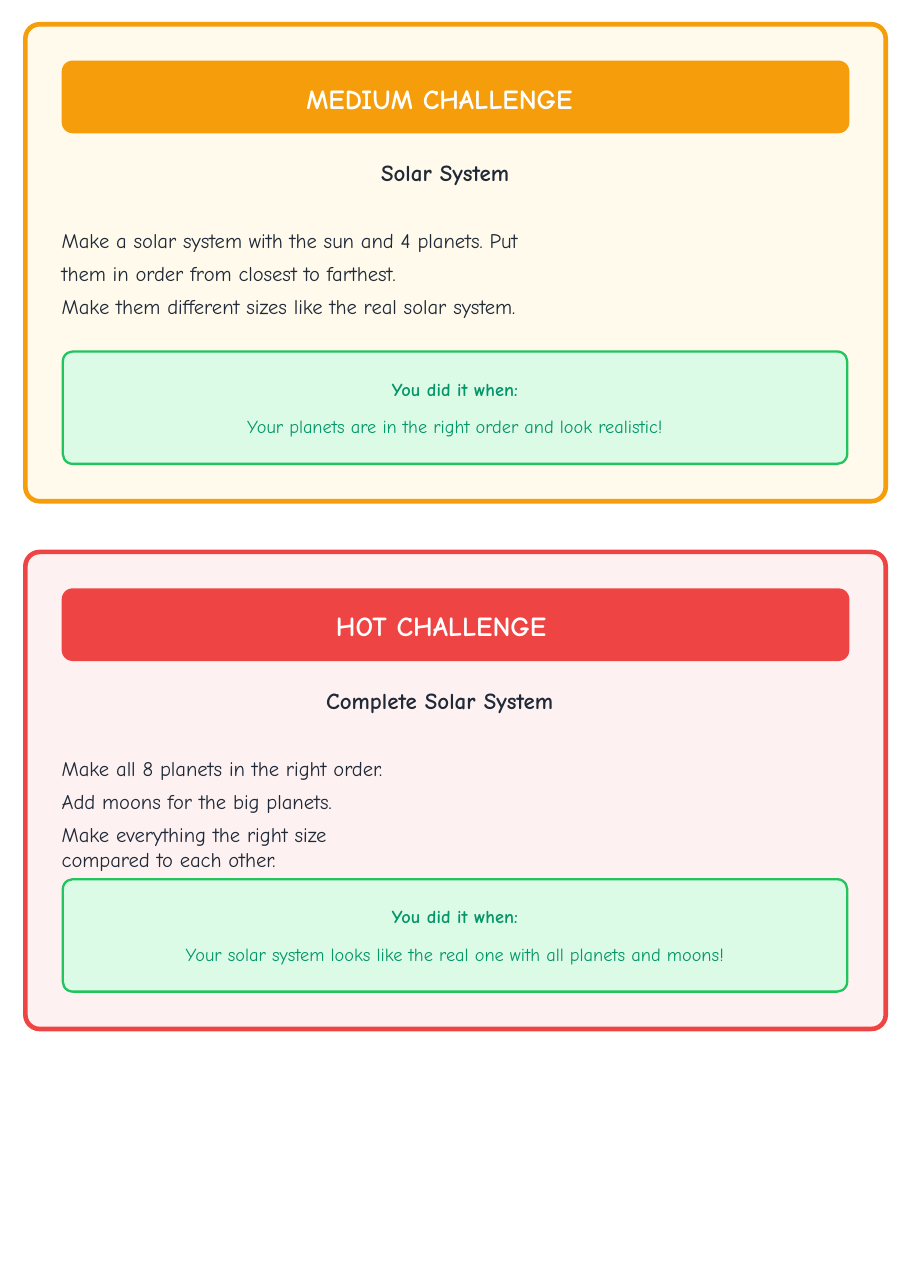
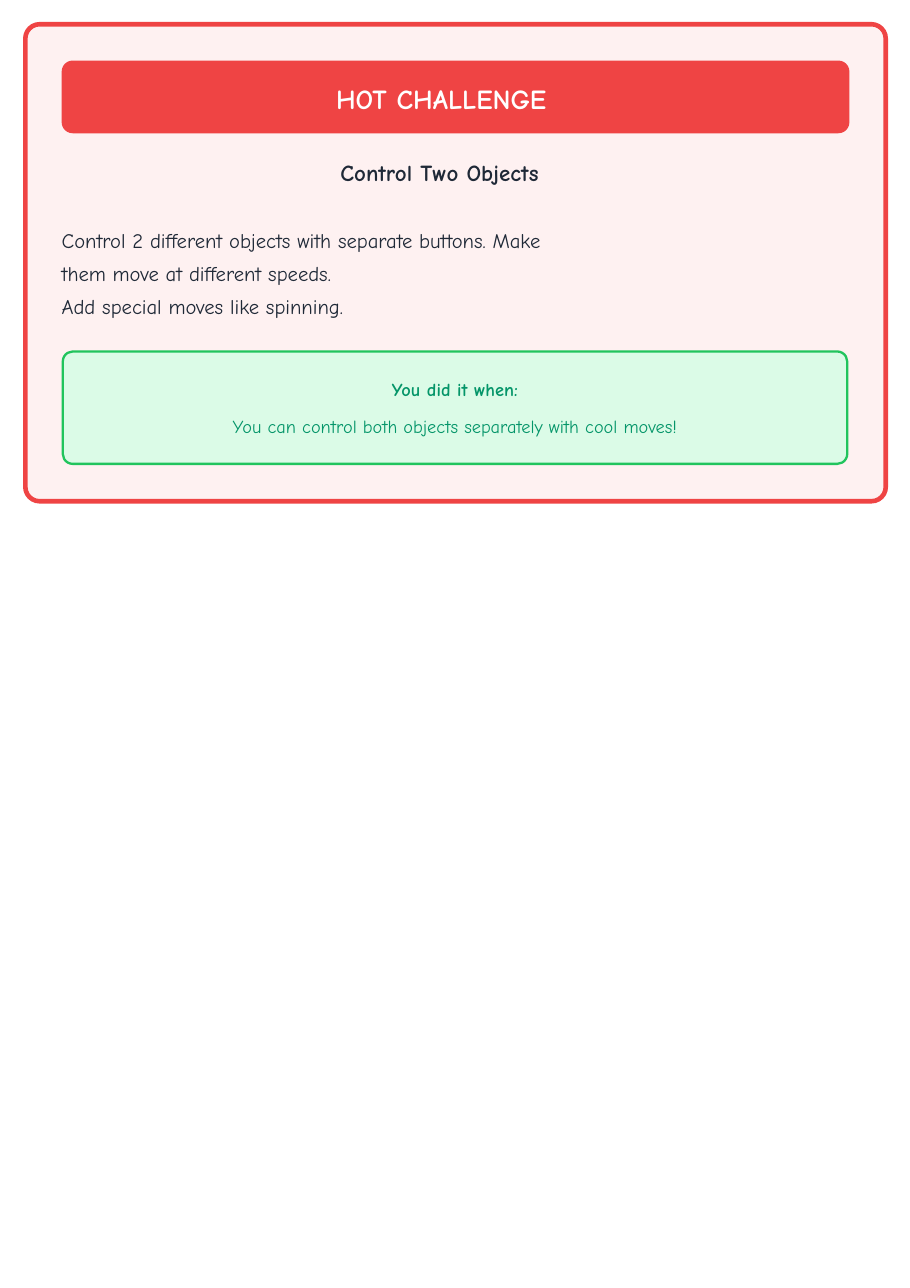
import pptx
import pptx.dml.color
import pptx.enum.shapes
import pptx.enum.text
import pptx.util

PX = 9144  # 100 px to the inch
FONT = "Comic Neue"
COLORS = {
    "ink": "1F2937",
    "white": "FFFFFF",
    "success": "049569",
    "success_fill": "DBFBE7",
    "success_line": "21C45D",
    "medium": "F59D0A",
    "medium_fill": "FFFAEB",
    "hot": "EF4444",
    "hot_fill": "FEF1F1",
}
CARD_PITCH = 479
ALIGN = pptx.enum.text.PP_ALIGN
ANCHOR = pptx.enum.text.MSO_ANCHOR

SLIDES = [
    [
        {
            "level": "medium", "banner_left": 278, "heading_left": 346, "body_width": 425,
            "heading": "Solar System",
            "steps": [
                "Make a solar system with the sun and 4 planets. "
                "Put them in order from closest to farthest.",
                "Make them different sizes like the real solar system.",
            ],
            "goal": "Your planets are in the right order and look realistic!",
        },
        {
            "level": "hot", "banner_left": 305, "heading_left": 296, "body_width": 310,
            "heading": "Complete Solar System",
            "steps": [
                "Make all 8 planets in the right order. Add moons for the big planets.",
                "Make everything the right size compared to each other.",
            ],
            "goal": "Your solar system looks like the real one with all planets and moons!",
        },
    ],
    [
        {
            "level": "hot", "banner_left": 305, "heading_left": 309, "body_width": 445,
            "heading": "Control Two Objects",
            "steps": [
                "Control 2 different objects with separate buttons. "
                "Make them move at different speeds.",
                "Add special moves like spinning.",
            ],
            "goal": "You can control both objects separately with cool moves!",
        },
    ],
]


def add_panel(slide, bounds, radius, fill, line=None, line_width=0):
    """Add a rounded rectangle; bounds are left, top, width, height in px."""
    panel = slide.shapes.add_shape(
        pptx.enum.shapes.MSO_SHAPE.ROUNDED_RECTANGLE, *[value * PX for value in bounds])
    panel.adjustments[0] = radius / bounds[3]
    panel.shadow.inherit = False
    panel.fill.solid()
    panel.fill.fore_color.rgb = pptx.dml.color.RGBColor.from_string(COLORS[fill])
    if line:
        panel.line.color.rgb = pptx.dml.color.RGBColor.from_string(COLORS[line])
        panel.line.width = pptx.util.Pt(line_width)
    else:
        panel.line.fill.background()
    return panel


def write(shape, text, size, color, bold=False, align=ALIGN.LEFT, anchor=ANCHOR.TOP,
          space_before=0, line_spacing=1.0):
    """Append a formatted paragraph, starting with the empty one of a new shape."""
    frame = shape.text_frame
    frame.word_wrap = True
    frame.auto_size = pptx.enum.text.MSO_AUTO_SIZE.NONE
    frame.margin_left = frame.margin_top = frame.margin_right = frame.margin_bottom = 0
    frame.vertical_anchor = anchor
    paragraph = frame.add_paragraph() if frame.text else frame.paragraphs[0]
    paragraph.alignment = align
    paragraph.space_before = pptx.util.Pt(space_before)
    paragraph.line_spacing = line_spacing
    run = paragraph.add_run()
    run.text = text
    run.font.name = FONT
    run.font.size = pptx.util.Pt(size)
    run.font.bold = bold
    run.font.color.rgb = pptx.dml.color.RGBColor.from_string(COLORS[color])


presentation = pptx.Presentation()
presentation.slide_width = 826 * PX
presentation.slide_height = 1169 * PX
title_only = presentation.slide_layouts[5]

for cards in SLIDES:
    slide = presentation.slides.add_slide(title_only)
    for index, card in enumerate(cards):
        offset = index * CARD_PITCH
        level = card["level"]
        add_panel(slide, (23, 22 + offset, 781, 433), 13, level + "_fill", level, 3)
        add_panel(slide, (56, 55 + offset, 715, 66), 10, level)

        # The first banner carries the slide title, raised above its panel.
        if index == 0:
            banner = slide.shapes.title
            banner.element.getparent().append(banner.element)
        else:
            banner = slide.shapes.add_textbox(0, 0, 0, 0)
        banner.left, banner.top = card["banner_left"] * PX, (74 + offset) * PX
        banner.width, banner.height = 300 * PX, 33 * PX
        write(banner, level.upper() + " CHALLENGE", size=18, color="white", bold=True)

        heading = slide.shapes.add_textbox(
            card["heading_left"] * PX, (144 + offset) * PX, 250 * PX, 25 * PX)
        write(heading, card["heading"], size=15, color="ink", bold=True)

        body = slide.shapes.add_textbox(
            56 * PX, (199 + offset) * PX, card["body_width"] * PX, 85 * PX)
        first_step, second_step = card["steps"]
        write(body, first_step, size=13.5, color="ink", line_spacing=1.34)
        write(body, second_step, size=13.5, color="ink", space_before=5.5)

        goal = add_panel(slide, (57, 319 + offset, 712, 102), 9,
                         "success_fill", "success_line", 1.5)
        goal_format = {"size": 12, "color": "success", "align": ALIGN.CENTER,
                       "anchor": ANCHOR.MIDDLE}
        write(goal, "You did it when:", bold=True, **goal_format)
        write(goal, card["goal"], space_before=10.3, **goal_format)

presentation.save("out.pptx")
